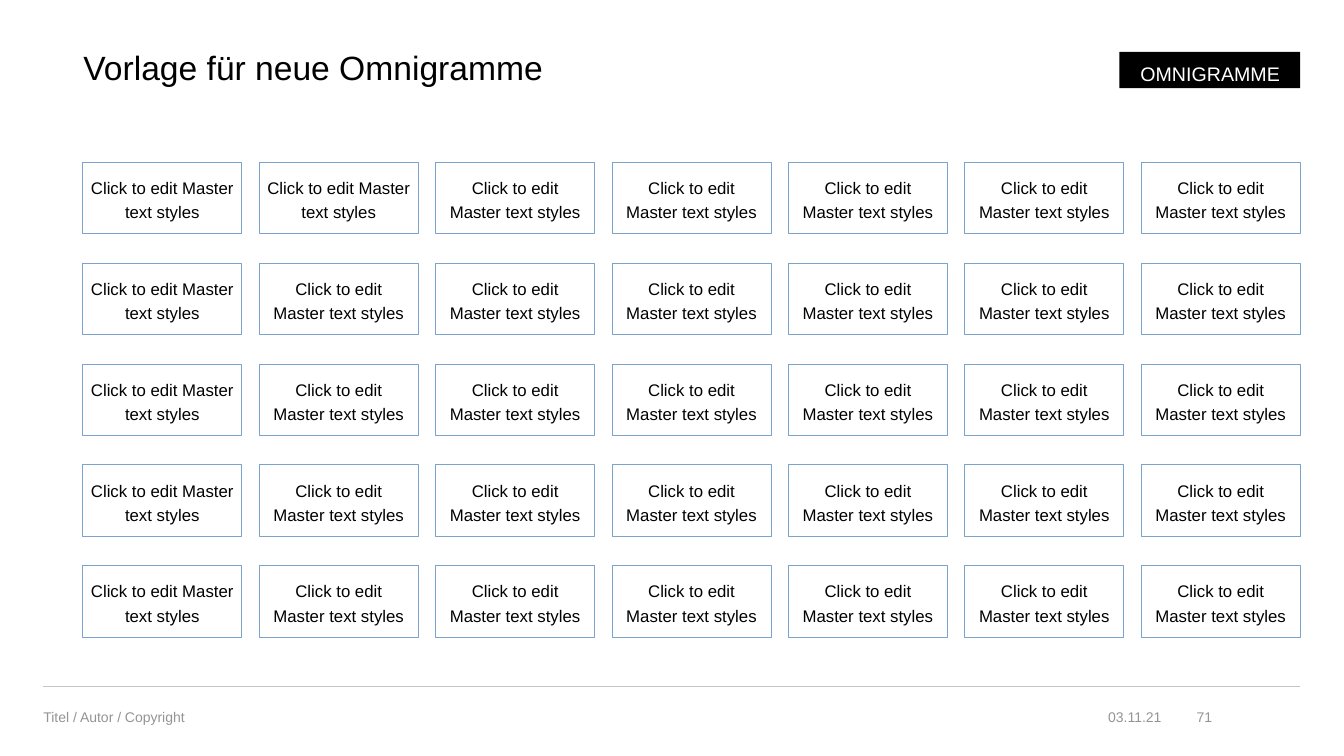
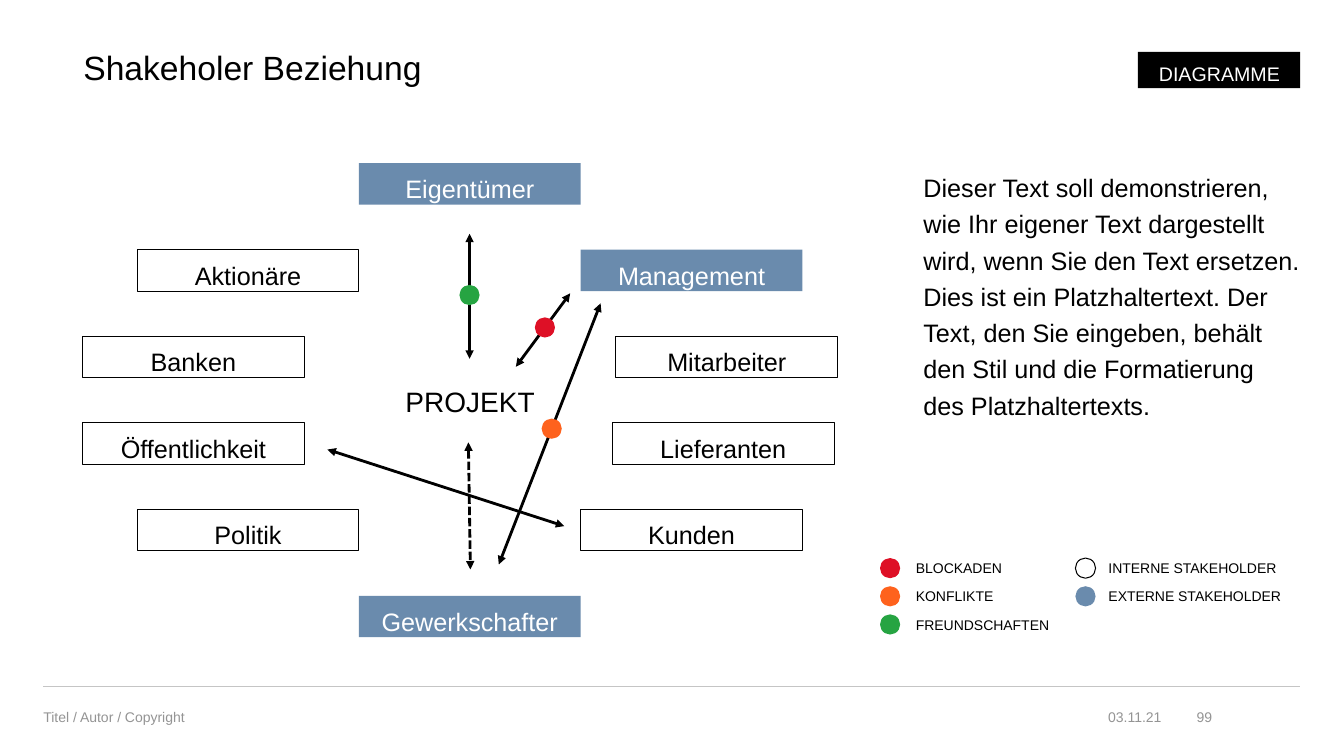
from lxml import etree
from pptx import Presentation
from pptx.dml.color import RGBColor
from pptx.enum.dml import MSO_LINE
from pptx.enum.shapes import MSO_CONNECTOR, MSO_SHAPE
from pptx.enum.text import MSO_ANCHOR, PP_ALIGN
from pptx.oxml.ns import qn
from pptx.util import Pt

RECT, OVAL = MSO_SHAPE.RECTANGLE, MSO_SHAPE.OVAL
STRAIGHT, DASHED = MSO_CONNECTOR.STRAIGHT, MSO_LINE.SQUARE_DOT
TOP, MIDDLE = MSO_ANCHOR.TOP, MSO_ANCHOR.MIDDLE
LEFT, CENTER, RIGHT = PP_ALIGN.LEFT, PP_ALIGN.CENTER, PP_ALIGN.RIGHT

FONT = "Arial"
BLACK, WHITE, GREY, RULE = "000000", "FFFFFF", "949494", "C5C5C5"
BLUE, CELL_BLUE = "6A8BAD", "7BA4CC"
RED, ORANGE, GREEN = "DE1026", "FE621D", "26A442"

DOT = 14.4
RIGHT_EDGE = 928.8

# Format values: paragraph spacing, and insets as (horizontal, vertical)
BODY = {"line_spacing": 1.2, "space_after": Pt(10)}
CENTERED = {**BODY, "alignment": CENTER}
CELL = {**CENTERED, "space_after": Pt(4)}
NODE_INSETS, TAG_INSETS, CELL_INSETS = (14.4, 2.88), (14.4, 3.6), (7.2, 3.6)


def rgb(value):
    return RGBColor.from_string(value)


def apply(target, values):
    for key, value in values.items():
        setattr(target, key, value)


def write(shape, text, size, color=BLACK, paragraph=None, insets=(0, 0),
          anchor=TOP, wrap=True):
    frame = shape.text_frame
    across, down = map(Pt, insets)
    apply(frame, {"margin_left": across, "margin_right": across,
                  "margin_top": down, "margin_bottom": down,
                  "vertical_anchor": anchor, "word_wrap": wrap})
    line = frame.paragraphs[0]
    line.text = text
    apply(line, {"alignment": LEFT, **(paragraph or {})})
    apply(line.font, {"name": FONT, "size": Pt(size)})
    line.font.color.rgb = rgb(color)


def add_text(slide, box, text, size, **style):
    write(slide.shapes.add_textbox(*map(Pt, box)), text, size, **style)


def add_shape(slide, kind, box, fill=None, line=None, weight=0.75):
    shape = slide.shapes.add_shape(kind, *map(Pt, box))
    shape.shadow.inherit = False
    if fill:
        shape.fill.solid()
        shape.fill.fore_color.rgb = rgb(fill)
    else:
        shape.fill.background()
    if line:
        shape.line.color.rgb = rgb(line)
        shape.line.width = Pt(weight)
    else:
        shape.line.fill.background()
    return shape


def add_line(slide, start, end, color, weight, dash=None, arrows=False):
    line = slide.shapes.add_connector(STRAIGHT, *map(Pt, (*start, *end)))
    line.line.color.rgb = rgb(color)
    line.line.width = Pt(weight)
    if dash:
        line.line.dash_style = dash
    properties = line._element.spPr
    if arrows:
        for tag in ("a:headEnd", "a:tailEnd"):
            etree.SubElement(properties.find(qn("a:ln")), qn(tag), type="triangle")
    etree.SubElement(properties, qn("a:effectLst"))


def add_frame(prs, title, tag, tag_width, number):
    """Add a slide with the shared title, section tag and footer."""
    slide = prs.slides.add_slide(prs.slide_layouts[6])
    add_line(slide, (31, 490.2), (RIGHT_EDGE, 490.2), RULE, 0.5)
    add_text(slide, (59.6, 36.7, 869, 26), title, 24, paragraph={"line_spacing": 0.9})
    footer = (
        (31, 437, "Titel / Autor / Copyright", LEFT),
        (775.6, 54, "03.11.21", RIGHT),
        (843.8, 22, number, RIGHT),
    )
    for left, width, text, align in footer:
        add_text(slide, (left, 498.3, width, 28), text, 10, color=GREY,
                 paragraph={"alignment": align}, anchor=MIDDLE)
    section = add_shape(slide, RECT, (RIGHT_EDGE - tag_width, 37.1, tag_width, 25.9), BLACK)
    write(section, tag, 14, WHITE, {**BODY, "alignment": RIGHT}, TAG_INSETS, wrap=False)
    return slide


def add_card_grid(slide, box, rows, columns, card_width, card_height):
    left, top, width, height = box
    step_x = (width - card_width) / (columns - 1)
    step_y = (height - card_height) / (rows - 1)
    for row in range(rows):
        for column in range(columns):
            card = add_shape(slide, RECT, (left + column * step_x, top + row * step_y,
                                           card_width, card_height),
                             line=CELL_BLUE, weight=0.5)
            tight = column == 0 or (row, column) == (0, 1)
            write(card, "Click to edit Master text styles", 12, paragraph=CELL,
                  insets=(0, 0) if tight else CELL_INSETS, anchor=MIDDLE)


def add_stakeholder_map(slide, left, top):
    node_width, node_height, step = 158.4, 29.6, 61.8
    # Name, distance from the left, row, external
    stakeholders = (
        ("Eigentümer", 197.4, 0, True),
        ("Aktionäre", 39, 1, False),
        ("Management", 355.8, 1, True),
        ("Banken", 0, 2, False),
        ("Mitarbeiter", 381, 2, False),
        ("Öffentlichkeit", 0, 3, False),
        ("Lieferanten", 378.4, 3, False),
        ("Politik", 39, 4, False),
        ("Kunden", 355.8, 4, False),
        ("Gewerkschafter", 197.4, 5, True),
    )
    for name, x, row, external in stakeholders:
        node = add_shape(slide, RECT, (left + x, top + row * step, node_width, node_height),
                         fill=BLUE if external else None,
                         line=None if external else BLACK)
        write(node, name, 18, WHITE if external else BLACK, CENTERED, NODE_INSETS)
    add_text(slide, (left + 197.8, top + 150.5, 158, node_height), "PROJEKT", 20,
             paragraph=CENTERED, insets=NODE_INSETS)

    # Start, end, dash, dot colour, share of the way to the dot
    relations = (
        ((276.4, 50.4), (276.4, 139.7), None, GREEN, 0.49),
        ((275.6, 199.4), (277, 290.2), DASHED, None, 0),
        ((348.3, 92.9), (309.5, 145.4), None, RED, 0.465),
        ((370, 100.1), (297.3, 286.6), None, ORANGE, 0.48),
        ((344.1, 259.2), (174.9, 204.5), None, None, 0),
    )
    for start, end, dash, dot, share in relations:
        x1, y1, x2, y2 = (left + start[0], top + start[1], left + end[0], top + end[1])
        add_line(slide, (x1, y1), (x2, y2), BLACK, 2, dash, arrows=True)
        if dot:
            add_shape(slide, OVAL, (x1 + share * (x2 - x1) - DOT / 2,
                                    y1 + share * (y2 - y1) - DOT / 2, DOT, DOT), dot)


def add_legend(slide, left, top):
    step = 20.1
    # Distance from the left, label indent, label width, entries
    columns = (
        (0, 25.6, 108, (("BLOCKADEN", RED, None), ("KONFLIKTE", ORANGE, None),
                        ("FREUNDSCHAFTEN", GREEN, None))),
        (139.6, 23.6, 125, (("INTERNE STAKEHOLDER", WHITE, BLACK),
                            ("EXTERNE STAKEHOLDER", BLUE, None))),
    )
    for x, indent, width, entries in columns:
        for row, (label, fill, line) in enumerate(entries):
            y = top + row * step
            add_shape(slide, OVAL, (left + x, y + (step - DOT) / 2, DOT, DOT), fill, line)
            add_text(slide, (left + x + indent, y, width, step), label, 10, anchor=MIDDLE)


def build_omnigram_slide(prs):
    slide = add_frame(prs, "Vorlage für neue Omnigramme", "OMNIGRAMME", 129.2, "71")
    add_card_grid(slide, (59.2, 116, 869.6, 339), 5, 7, 113.6, 51)


def build_stakeholder_slide(prs):
    slide = add_frame(prs, "Shakeholer Beziehung", "DIAGRAMME", 116, "99")
    add_stakeholder_map(slide, 59, 116.6)
    add_text(slide, (659.6, 118.8, 269.3, 338.4),
             "Dieser Text soll demonstrieren, wie Ihr eigener Text dargestellt wird, "
             "wenn Sie den Text ersetzen. Dies ist ein Platzhaltertext. Der Text, den "
             "Sie eingeben, behält den Stil und die Formatierung des Platzhaltertexts.",
             18, paragraph=BODY)
    add_legend(slide, 628.6, 395.8)


def main():
    prs = Presentation()
    prs.slide_width, prs.slide_height = Pt(960), Pt(540)
    build_omnigram_slide(prs)
    build_stakeholder_slide(prs)
    prs.save("out.pptx")


if __name__ == "__main__":
    main()
